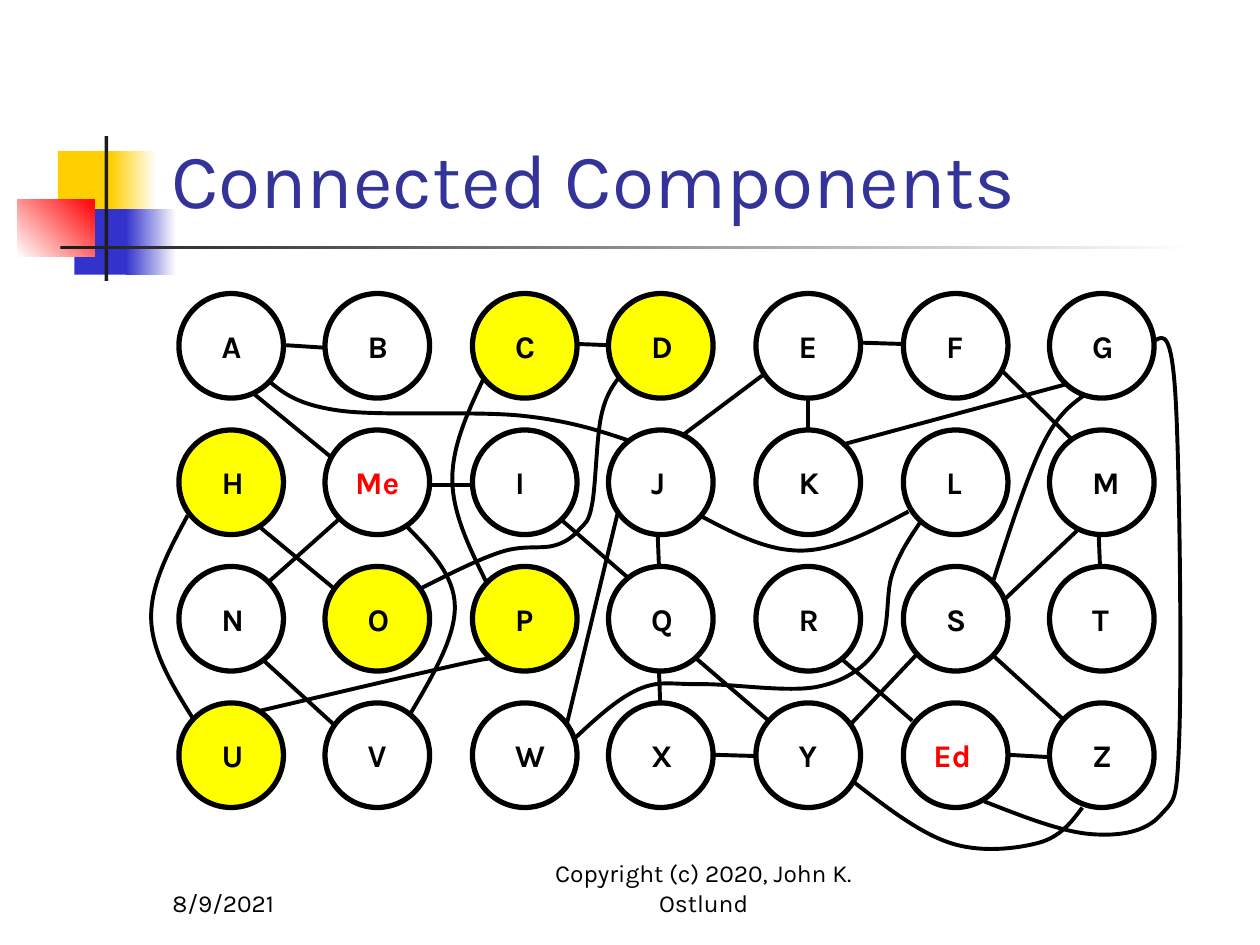
from typing import NamedTuple

from lxml.etree import SubElement
from pptx import Presentation
from pptx.dml.color import RGBColor
from pptx.enum.shapes import MSO_CONNECTOR, MSO_SHAPE
from pptx.enum.text import MSO_ANCHOR, MSO_AUTO_SIZE, PP_ALIGN
from pptx.oxml.ns import qn
from pptx.util import Inches, Pt

BLACK = RGBColor(0, 0, 0)
WHITE = RGBColor(255, 255, 255)
RED = RGBColor(255, 0, 0)
YELLOW = RGBColor(255, 255, 0)
GOLD = RGBColor(0xFF, 0xCF, 0x01)
BLUE = RGBColor(0x33, 0x33, 0xCC)
CHARCOAL = RGBColor(0x1C, 0x1C, 0x1C)
TITLE_BLUE = RGBColor(0x33, 0x33, 0x99)

FONT = "Karla"
DIAMETER = 0.83
COLUMNS = (1.42, 2.58, 3.75, 4.83, 6, 7.17, 8.33)
FIRST_ROW, ROW_STEP = 2.33, 1.083
LABEL_HEIGHT = 0.4


class Band(NamedTuple):
    left: float
    top: float
    width: float
    height: float
    start: RGBColor
    end: RGBColor | None = None
    angle: float = 0


class Vertex(NamedTuple):
    name: str
    label_width: float
    marked: bool = False


Point = tuple[float, float]

BANDS = (
    Band(0.46, 1.2, 0.48, 0.52, GOLD),
    Band(0.88, 1.2, 0.36, 0.52, GOLD, WHITE),
    Band(0.59, 1.66, 0.46, 0.52, BLUE),
    Band(1, 1.66, 0.4, 0.52, BLUE, WHITE),
    Band(0.14, 1.58, 0.61, 0.46, WHITE, RED, 45),
    Band(0.83, 1.08, 0.03, 1.15, CHARCOAL),
    Band(0.48, 1.95, 9, 0.03, CHARCOAL, WHITE),
)

VERTEX_ROWS = (
    (Vertex("A", 0.38), Vertex("B", 0.38), Vertex("C", 0.38, True), Vertex("D", 0.39, True),
     Vertex("E", 0.36), Vertex("F", 0.35), Vertex("G", 0.39)),
    (Vertex("H", 0.39, True), Vertex("Me", 0.58), Vertex("I", 0.32), Vertex("J", 0.33),
     Vertex("K", 0.38), Vertex("L", 0.35), Vertex("M", 0.43)),
    (Vertex("N", 0.4), Vertex("O", 0.4, True), Vertex("P", 0.38, True), Vertex("Q", 0.4),
     Vertex("R", 0.39), Vertex("S", 0.38), Vertex("T", 0.36)),
    (Vertex("U", 0.39, True), Vertex("V", 0.38), Vertex("W", 0.46), Vertex("X", 0.38),
     Vertex("Y", 0.38), Vertex("Ed", 0.52), Vertex("Z", 0.36)),
)

STRAIGHT_EDGES = (
    ((2.27, 2.74), (2.58, 2.76)),  # A-B
    ((2.63, 3.63), (2.02, 3.13)),  # A-Me
    ((4.58, 2.73), (4.84, 2.74)),  # C-D
    ((6.84, 2.72), (7.16, 2.73)),  # E-F
    ((5.41, 3.46), (6.05, 2.98)),  # E-J
    ((6.41, 3.16), (6.41, 3.42)),  # E-K
    ((7.95, 2.94), (8.51, 3.49)),  # F-M
    ((6.68, 3.53), (8.46, 3.05)),  # G-K
    ((2.07, 4.19), (2.65, 4.67)),  # H-O
    ((3.42, 3.85), (3.74, 3.85)),  # Me-I
    ((2.68, 4.13), (2.13, 4.62)),  # Me-N
    ((4.46, 4.13), (4.99, 4.59)),  # I-Q
    ((5.22, 4.24), (5.23, 4.5)),   # J-Q
    ((4.9, 4.08), (4.5, 5.74)),    # J-W
    ((7.97, 4.76), (8.55, 4.21)),  # M-S
    ((8.72, 4.24), (8.73, 4.49)),  # M-T
    ((2.09, 5.24), (2.66, 5.76)),  # N-V
    ((5.23, 5.33), (5.24, 5.58)),  # Q-X
    ((5.53, 5.23), (6.1, 5.72)),   # Q-Y
    ((7.24, 5.72), (6.68, 5.23)),  # R-Ed
    ((6.74, 5.76), (7.27, 5.2)),   # S-Y
    ((7.89, 5.21), (8.44, 5.71)),  # S-Z
    ((5.65, 5.99), (5.99, 6)),     # X-Y
    ((7.99, 5.99), (8.34, 6.01)),  # Ed-Z
)

CURVED_EDGES = (
    ((2.14, 3.03), (2.7, 3.26), (4.14, 3.3), (5, 3.5)),  # A-J
    ((3.84, 3), (3.59, 3.81), (3.86, 4.62)),  # C-P
    ((3.34, 4.67), (3.98, 4.38), (4.4, 4.33), (4.6, 4.2),
     (4.7, 4), (4.77, 3.31), (4.91, 3)),  # D-O
    ((7.81, 6.36), (8.66, 6.62), (9.21, 6.47), (9.36, 5.83),
     (9.33, 3.15), (9.17, 2.7)),  # G-Ed
    ((7.88, 4.62), (8.27, 3.54), (8.6, 3.14)),  # G-S
    ((1.49, 4.09), (1.2, 4.91), (1.53, 5.7)),  # H-U
    ((3.23, 4.18), (3.61, 4.81), (3.26, 5.66)),  # Me-V
    ((5.57, 4.1), (6.37, 4.37), (7.21, 4.06)),  # J-L
    ((4.55, 5.87), (5.07, 5.47), (5.57, 5.43), (6.49, 5.45),
     (6.97, 5.14), (7.08, 4.56), (7.3, 4.15)),  # L-W
    ((2.07, 5.64), (3.57, 5.29), (3.88, 5.23)),  # P-U
    ((6.78, 6.21), (7.54, 6.69), (8.24, 6.69), (8.59, 6.41)),  # Y-Z
)

LABEL_FRAME = {"word_wrap": False, "auto_size": MSO_AUTO_SIZE.SHAPE_TO_FIT_TEXT}
BOTTOM_FRAME = {"word_wrap": True, "auto_size": MSO_AUTO_SIZE.NONE,
                "vertical_anchor": MSO_ANCHOR.BOTTOM}


def set_attributes(target, values: dict) -> None:
    for attribute, value in values.items():
        setattr(target, attribute, value)


def write(shape, text: str, frame: dict, size: float, color: RGBColor,
          align=PP_ALIGN.LEFT, bold: bool = False) -> None:
    set_attributes(shape.text_frame, frame)
    paragraph = shape.text_frame.paragraphs[0]
    paragraph.alignment = align
    run = paragraph.add_run()
    run.text = text
    set_attributes(run.font, {"name": FONT, "size": Pt(size), "bold": bold})
    run.font.color.rgb = color


def draw_band(shapes, band: Band) -> None:
    block = shapes.add_shape(MSO_SHAPE.RECTANGLE, *map(Inches, band[:4]))
    block.shadow.inherit = False
    block.line.fill.background()
    if band.end is None:
        block.fill.solid()
        block.fill.fore_color.rgb = band.start
        return
    block.fill.gradient()
    block.fill.gradient_angle = band.angle
    for stop, color in zip(block.fill.gradient_stops, (band.start, band.end)):
        stop.color.rgb = color


def draw_vertex(shapes, vertex: Vertex, left: float, top: float) -> None:
    group = shapes.add_group_shape().shapes
    circle = group.add_shape(MSO_SHAPE.OVAL, *map(Inches, (left, top, DIAMETER, DIAMETER)))
    circle.shadow.inherit = False
    set_line(circle, 3)
    special = len(vertex.name) > 1
    label = group.add_textbox(Inches(left + (0.14 if special else 0.24)), Inches(top + 0.215),
                              Inches(vertex.label_width), Inches(LABEL_HEIGHT))
    write(label, vertex.name, LABEL_FRAME, 18, RED if special else BLACK, bold=True)
    if vertex.marked:
        for part in (circle, label):
            part.fill.solid()
            part.fill.fore_color.rgb = YELLOW
    else:
        circle.fill.background()


def set_line(shape, width: float) -> None:
    shape.line.color.rgb = BLACK
    shape.line.width = Pt(width)


def draw_straight_edge(shapes, start: Point, end: Point) -> None:
    edge = shapes.add_connector(MSO_CONNECTOR.STRAIGHT, *map(Inches, start + end))
    set_line(edge, 2.25)
    SubElement(edge._element.spPr, qn("a:effectLst"))


def draw_curved_edge(shapes, points: tuple[Point, ...]) -> None:
    """Draw a smooth spline through the points."""
    stops = [(Inches(x), Inches(y)) for x, y in points]
    builder = shapes.build_freeform(*stops[0], scale=1.0)
    builder.add_line_segments(stops[1:], close=False)
    edge = builder.convert_to_shape()
    edge.shadow.inherit = False
    edge.fill.background()
    set_line(edge, 2.25)
    bend_segments(edge)


def bend_segments(edge) -> None:
    """Turn line segments into Catmull-Rom curves with relaxed ends."""
    nodes = [(int(pt.get("x")), int(pt.get("y"))) for pt in edge._element.iter(qn("a:pt"))]
    last = len(nodes) - 1
    tangents = [tuple((b - a) / 6 for a, b in zip(nodes[max(i - 1, 0)], nodes[min(i + 1, last)]))
                for i in range(last + 1)]
    for i, segment in enumerate(list(edge._element.iter(qn("a:lnTo")))):
        start, end = nodes[i], nodes[i + 1]
        leave = [p + t for p, t in zip(start, tangents[i])]
        arrive = [p - t for p, t in zip(end, tangents[i + 1])]
        if i == 0:
            leave = [(p + q) / 2 for p, q in zip(start, arrive)]
        if i == last - 1:
            arrive = [(p + q) / 2 for p, q in zip(leave, end)]
        segment.tag = qn("a:cubicBezTo")
        segment.remove(segment[0])
        for x, y in (leave, arrive, end):
            SubElement(segment, qn("a:pt"), x=str(round(x)), y=str(round(y)))


def main() -> None:
    deck = Presentation()
    set_attributes(deck, {"slide_width": Inches(10), "slide_height": Inches(7.5)})
    slide = deck.slides.add_slide(deck.slide_layouts[5])
    shapes = slide.shapes
    for band in BANDS:
        draw_band(shapes, band)

    title = shapes.title
    set_attributes(title, {"left": Inches(1.26), "top": Inches(0.23),
                           "width": Inches(8.52), "height": Inches(1.6)})
    write(title, "Connected Components", BOTTOM_FRAME, 44, TITLE_BLUE)
    date = shapes.add_textbox(*map(Inches, (1.27, 6.83, 2.08, 0.5)))
    write(date, "8/9/2021", BOTTOM_FRAME, 14, BLACK)
    footer = shapes.add_textbox(*map(Inches, (4, 6.83, 3.17, 0.5)))
    write(footer, "Copyright (c) 2020, John K. Ostlund", BOTTOM_FRAME, 14, BLACK, PP_ALIGN.CENTER)

    for row, vertices in enumerate(VERTEX_ROWS):
        for left, vertex in zip(COLUMNS, vertices):
            draw_vertex(shapes, vertex, left, FIRST_ROW + row * ROW_STEP)
    for start, end in STRAIGHT_EDGES:
        draw_straight_edge(shapes, start, end)
    for points in CURVED_EDGES:
        draw_curved_edge(shapes, points)
    deck.save("out.pptx")


if __name__ == "__main__":
    main()
